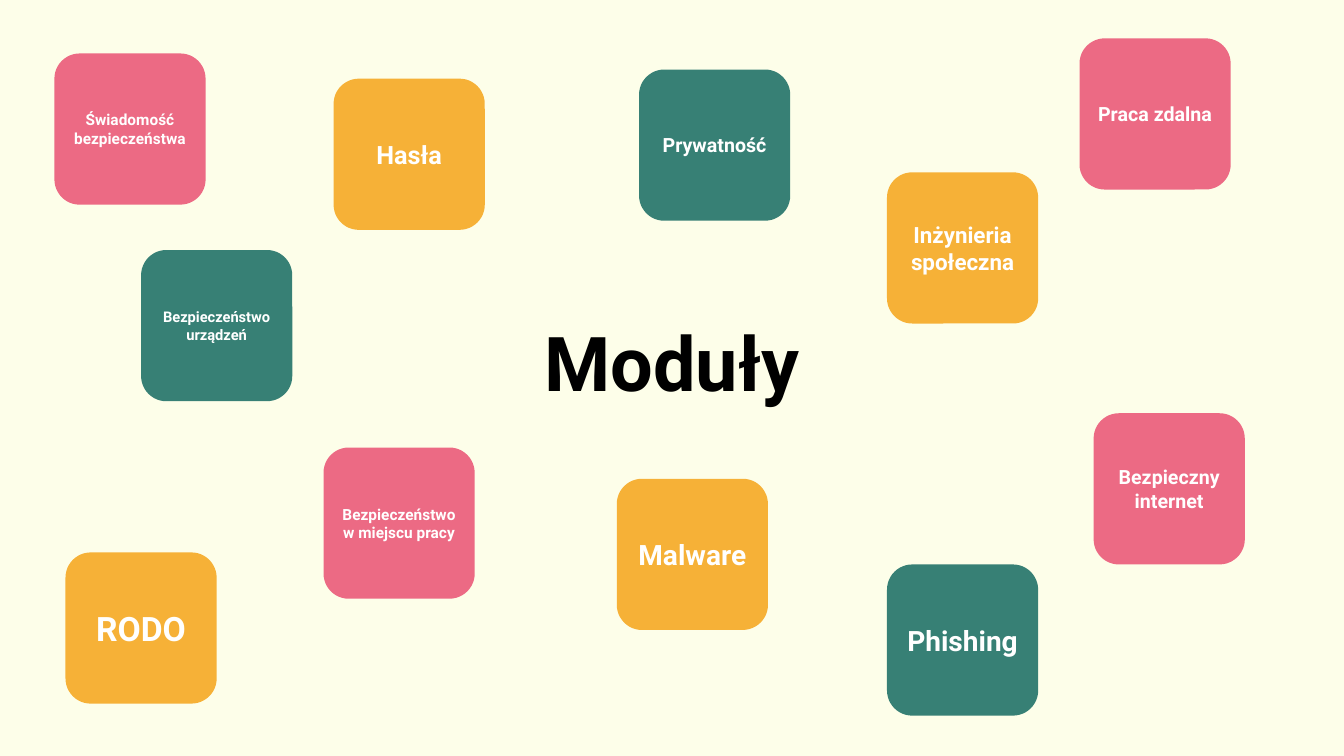
from pptx import Presentation
from pptx import util as u
from pptx.dml.color import RGBColor
from pptx.enum import shapes, text

COLOURS = {
    "cream": "FDFEE9",
    "pink": "EC6A84",
    "amber": "F6B137",
    "teal": "378075",
    "white": "FFFFFF",
    "black": "000000",
}
TILE_SIDE = 108
MODULES = [
    ("Świadomość bezpieczeństwa", 38.9, 38.2, "pink", 11),
    ("RODO", 46.8, 394.6, "amber", 24),
    ("Bezpieczeństwo urządzeń", 100.8, 178.6, "teal", 10.5),
    ("Hasła", 238.3, 56.2, "amber", 18),
    ("Bezpieczeństwo w miejscu pracy", 231.1, 319.7, "pink", 11),
    ("Prywatność", 456.5, 49.7, "teal", 14),
    ("Malware", 440.6, 342, "amber", 20),
    ("Phishing", 633.6, 403.2, "teal", 20),
    ("Bezpieczny internet", 781.2, 295.2, "pink", 14),
    ("Inżynieria społeczna", 633.6, 123.1, "amber", 16),
    ("Praca zdalna", 771.1, 27.4, "pink", 14),
]


class ModuleMap:
    """Holds the style and the current slide of the module overview."""

    def __init__(self, deck, font="Roboto"):
        self.font = font
        self.slide = deck.slides.add_slide(deck.slide_layouts[5])
        self.paint(self.slide.background.fill, "cream")

    def paint(self, fill, colour):
        fill.solid()
        fill.fore_color.rgb = RGBColor.from_string(COLOURS[colour])

    def label(self, frame, words, size, colour, anchor):
        frame.text = words
        frame.word_wrap = True
        frame.auto_size = text.MSO_AUTO_SIZE.NONE
        frame.vertical_anchor = anchor
        paragraph = frame.paragraphs[0]
        paragraph.alignment = text.PP_ALIGN.CENTER
        for run in paragraph.runs:
            run.font.name = self.font
            run.font.size = u.Pt(size)
            run.font.bold = True
            run.font.color.rgb = RGBColor.from_string(COLOURS[colour])

    def title(self, words, left, top, width, height, size):
        heading = self.slide.shapes.title
        heading.left, heading.top = u.Pt(left), u.Pt(top)
        heading.width, heading.height = u.Pt(width), u.Pt(height)
        self.label(heading.text_frame, words, size, "black", text.MSO_ANCHOR.BOTTOM)
        heading.text_frame.paragraphs[0].line_spacing = 0.9

    def tile(self, words, left, top, colour, size):
        module = self.slide.shapes.add_shape(
            shapes.MSO_SHAPE.ROUNDED_RECTANGLE,
            u.Pt(left), u.Pt(top), u.Pt(TILE_SIDE), u.Pt(TILE_SIDE),
        )
        module.shadow.inherit = False
        self.paint(module.fill, colour)
        module.line.fill.background()
        self.label(module.text_frame, words, size, "white", text.MSO_ANCHOR.MIDDLE)


def main():
    deck = Presentation()
    deck.slide_width, deck.slide_height = u.Pt(960), u.Pt(540)
    overview = ModuleMap(deck)
    overview.title("Moduły", 0, 244.8, 960, 50.4, 54)
    for module in MODULES:
        overview.tile(*module)
    deck.save("out.pptx")


if __name__ == "__main__":
    main()
